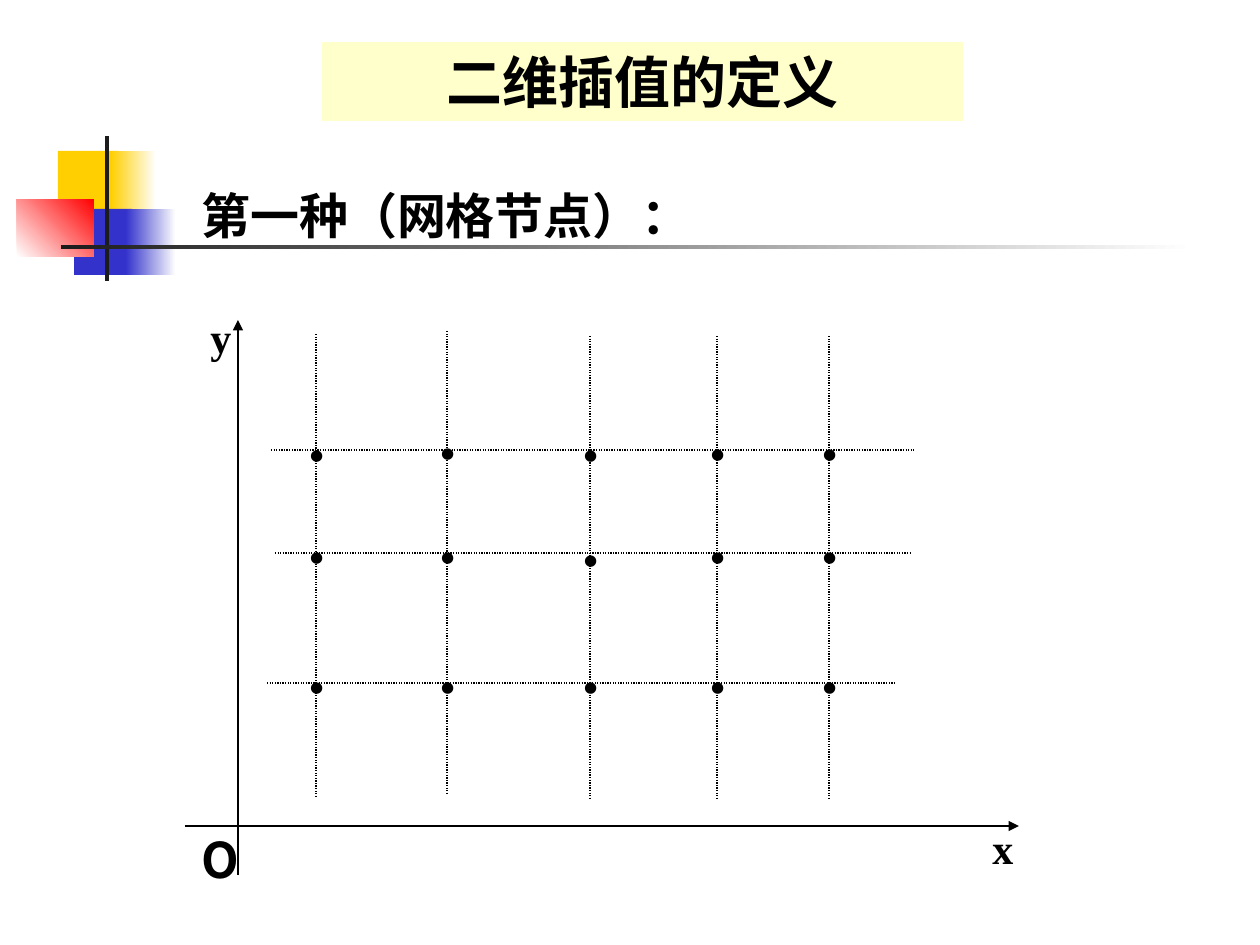
"""Builds the slide that defines two-dimensional interpolation on grid nodes."""
from lxml import etree
from pptx import Presentation
from pptx.dml.color import RGBColor
from pptx.enum.dml import MSO_LINE
from pptx.enum.shapes import MSO_CONNECTOR, MSO_SHAPE
from pptx.enum.text import MSO_ANCHOR, MSO_AUTO_SIZE, PP_ALIGN
from pptx.oxml.ns import qn
from pptx.util import Pt

PX = 914400 / 126
RECT = MSO_SHAPE.RECTANGLE
LINE = MSO_CONNECTOR.STRAIGHT
DOTS = MSO_LINE.ROUND_DOT
TOP, MID = MSO_ANCHOR.TOP, MSO_ANCHOR.MIDDLE
LEFT, MIDDLE = PP_ALIGN.LEFT, PP_ALIGN.CENTER
FIXED = MSO_AUTO_SIZE.NONE
SERIF, SANS = "Times New Roman", "Noto Sans CJK SC"

TITLE = ("二维插值的定义", (322, 42, 641, 79))
DECOR = [
    ((58, 151, 60, 66), ["FFCF01"], 0),
    ((111, 151, 45, 66), ["FFCF01", "FFFFFF"], 0),
    ((74, 209, 58, 66), ["3333CC"], 0),
    ((126, 209, 50, 66), ["3333CC", "FFFFFF"], 0),
    ((17, 199, 77, 58), ["FFFFFF", "FF0000"], 45),
    ((105, 136, 4, 145), ["1C1C1C"], 0),
    ((61, 245, 1134, 4), ["1C1C1C", "FFFFFF"], 0),
]
AXES = [(185, 826, 1019, 826), (238, 875, 238, 320)]
COLS = [(316, 334), (447, 331), (590, 336), (717, 336), (829, 336)]
HIGH = 462
ROWS = [(271, 914, 450), (275, 911, 553), (267, 896, 683)]
NODES = [
    (422, 420, 422, 421, 421),
    (524, 524, 527, 524, 524),
    (654, 654, 654, 654, 654),
]
LABELS = [
    ("x", (980, 816, 101, 63), 24, SERIF),
    ("y", (198, 305, 78, 63), 24, SERIF),
    ("O", (189, 823, 50, 72), 28, SANS),
    ("第一种（网格节点）：", (189, 179, 504, 72), 28, SERIF),
]


def emu(nums):
    return [round(n * PX) for n in nums]


def rgb(code):
    return RGBColor.from_string(code)


def write(shape, text, size, font=SERIF, align=LEFT, anchor=TOP):
    frame = shape.text_frame
    frame.word_wrap = True
    frame.auto_size = FIXED
    frame.vertical_anchor = anchor
    para = frame.paragraphs[0]
    para.text = text
    para.alignment = align
    para.space_before = Pt(0)
    para.font.size = Pt(size)
    para.font.bold = True
    para.font.name = font
    para.font.color.rgb = rgb("000000")
    props = para._p.pPr.find(qn("a:defRPr"))
    etree.SubElement(props, qn("a:ea")).set("typeface", SANS)


def label(slide, text, box, size, font=SERIF):
    write(slide.shapes.add_textbox(*emu(box)), text, size, font)


def block(slide, box, shades, angle):
    shape = slide.shapes.add_shape(RECT, *emu(box))
    shape.shadow.inherit = False
    shape.line.fill.background()
    if len(shades) == 1:
        shape.fill.solid()
        shape.fill.fore_color.rgb = rgb(shades[0])
        return
    shape.fill.gradient()
    shape.fill.gradient_angle = angle
    for stop, shade in zip(shape.fill.gradient_stops, shades):
        stop.color.rgb = rgb(shade)


def rule(slide, ends, arrow=False):
    line = slide.shapes.add_connector(LINE, *emu(ends))
    line.line.color.rgb = rgb("000000")
    line.line.width = Pt(0.75)
    if arrow:
        tail = etree.SubElement(line.line._get_or_add_ln(), qn("a:tailEnd"))
        tail.set("type", "triangle")
    else:
        line.line.dash_style = DOTS
    etree.SubElement(line._element.spPr, qn("a:effectLst"))


def main():
    deck = Presentation()
    deck.slide_width, deck.slide_height = emu((1260, 945))
    slide = deck.slides.add_slide(deck.slide_layouts[5])

    for item in DECOR:
        block(slide, *item)

    text, box = TITLE
    title = slide.shapes.title
    title.left, title.top, title.width, title.height = emu(box)
    title.fill.solid()
    title.fill.fore_color.rgb = rgb("FFFFCC")
    write(title, text, 32, align=MIDDLE, anchor=MID)

    for ends in AXES:
        rule(slide, ends, arrow=True)
    for x, top in COLS:
        rule(slide, (x, top, x, top + HIGH))
    for left, right, y in ROWS:
        rule(slide, (left, y, right, y))
    for tops in NODES:
        for (x, _), top in zip(COLS, tops):
            label(slide, "•", (x - 19, top, 77, 63), 24)
    for item in LABELS:
        label(slide, *item)

    deck.save("out.pptx")


if __name__ == "__main__":
    main()
